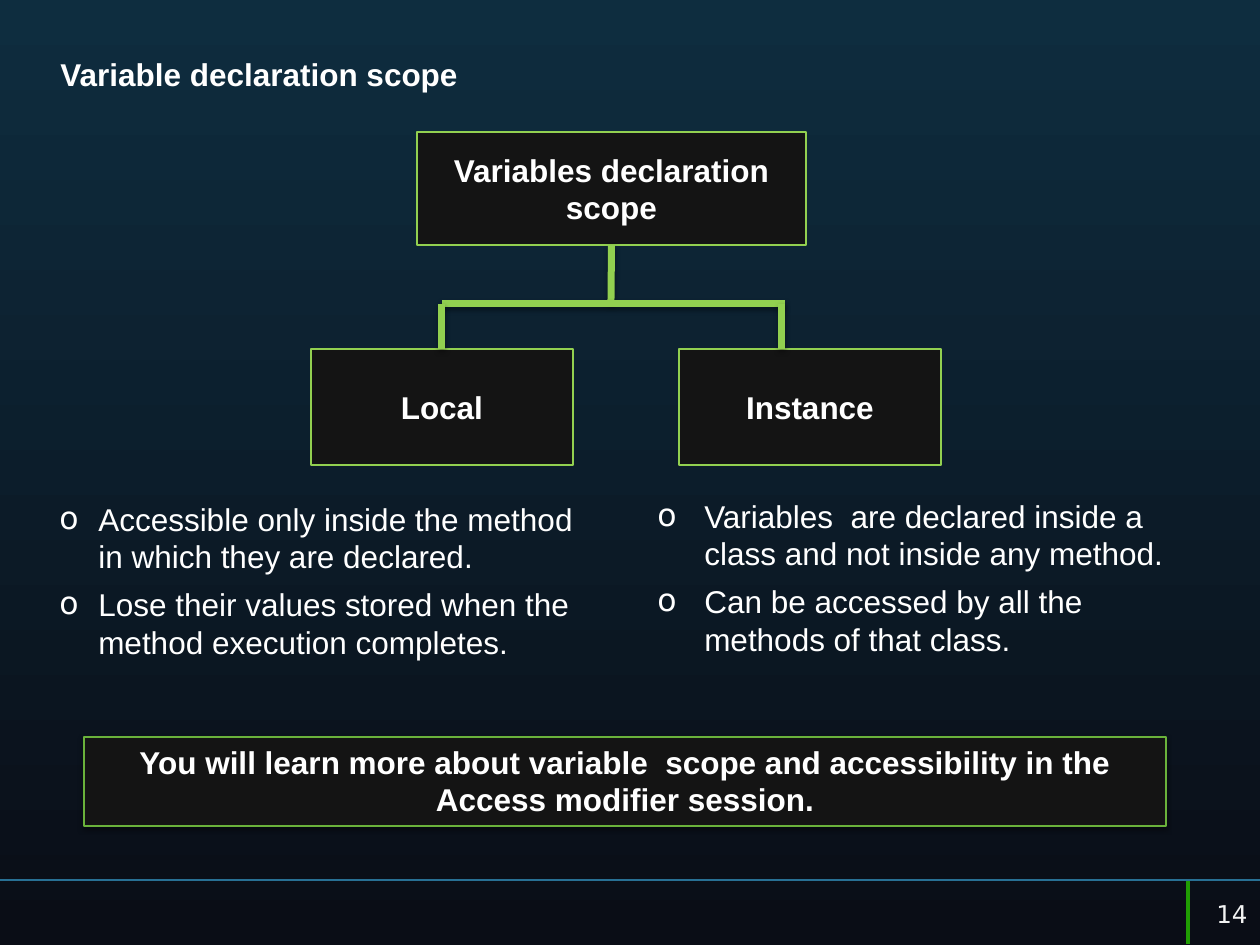
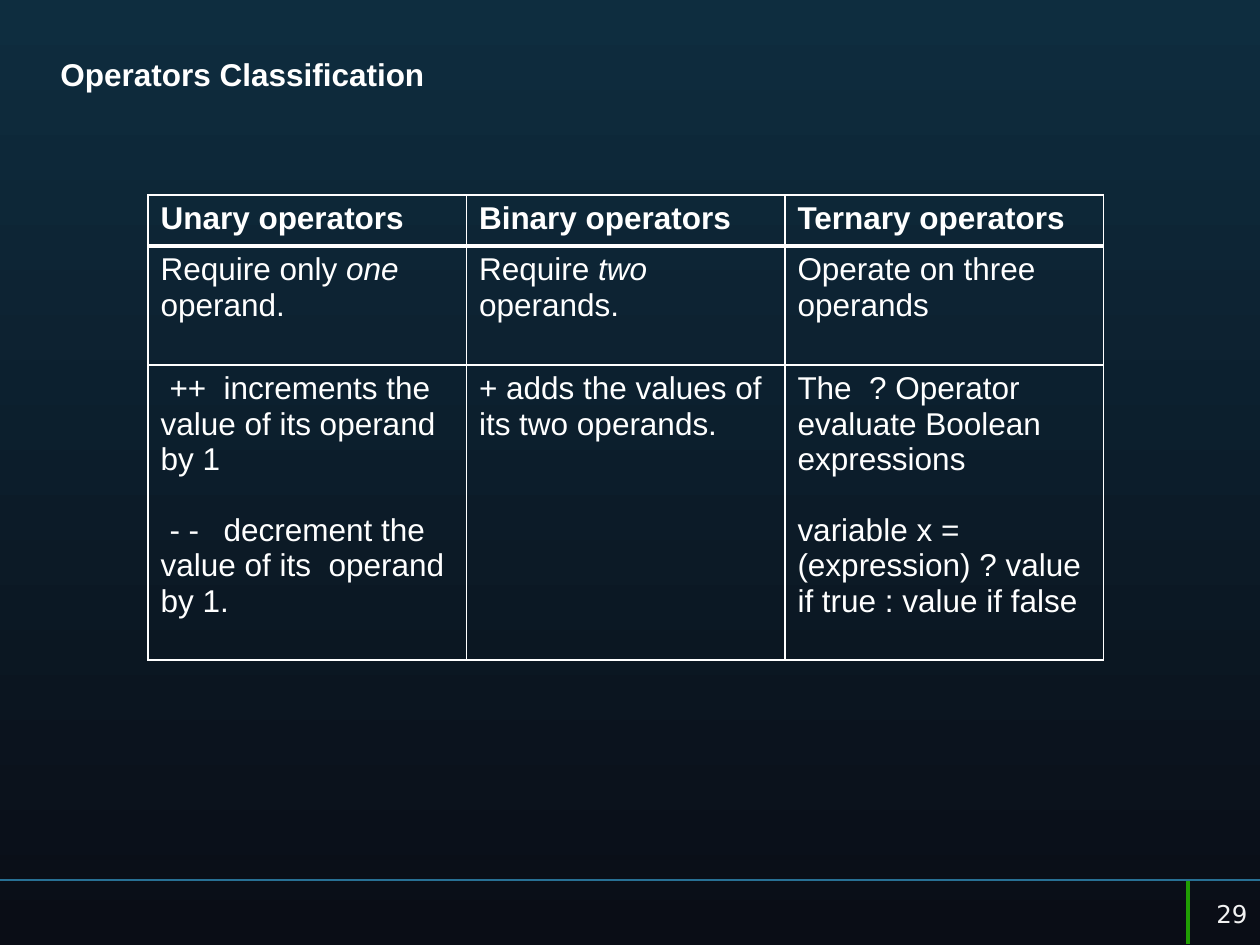
from dataclasses import dataclass

from lxml.etree import SubElement
from pptx import Presentation
from pptx.dml.color import RGBColor as Rgb
from pptx.enum.shapes import MSO_CONNECTOR as Connector, MSO_SHAPE as Shape
from pptx.enum.text import MSO_ANCHOR as Anchor, PP_ALIGN as Align
from pptx.oxml.ns import qn
from pptx.util import Emu, Pt

PX = 914400 / 126
BOTTOM, TOP = 2, 0


@dataclass(frozen=True)
class Theme:
    sky: str = "0E2D3F"
    night: str = "0A0D16"
    white: str = "FFFFFF"
    number: str = "F2F2F2"
    box: str = "141414"
    lime: str = "92D050"
    leaf: str = "6AB23B"
    rule: str = "287094"
    tick: str = "209D03"
    font: str = "Arial"
    number_font: str = "DejaVu Sans"
    size: float = 18
    number_size: float = 14
    line_pitch: float = 21.4
    table_pitch: float = 20.2


THEME = Theme()


def px(length):
    return Emu(round(length * PX))


def color(value):
    return Rgb.from_string(value)


# Text
def style(paragraph, bold=False, pitch=THEME.line_pitch, align=Align.LEFT):
    paragraph.alignment = align
    paragraph.line_spacing = Pt(pitch)
    font = paragraph.font
    font.name, font.size, font.bold = THEME.font, Pt(THEME.size), bold
    font.color.rgb = color(THEME.white)


def paragraphs(frame, count):
    return [frame.paragraphs[0]] + [frame.add_paragraph() for _ in range(count - 1)]


def add_text_box(slide, x, y, width, height):
    shape = slide.shapes.add_textbox(px(x), px(y), px(width), px(height))
    shape.text_frame.word_wrap = True
    return shape.text_frame


def add_bullets(slide, x, y, indent, items):
    frame = add_text_box(slide, x, y, 567, 176)
    for index, (paragraph, item) in enumerate(zip(paragraphs(frame, len(items)), items)):
        paragraph.text = item
        properties = paragraph._p.get_or_add_pPr()
        properties.set("marL", str(px(indent)))
        properties.set("indent", str(-px(indent)))
        SubElement(properties, qn("a:buFont"), typeface=THEME.number_font)
        SubElement(properties, qn("a:buChar"), char="o")
        style(paragraph)
        if index:
            paragraph.space_before = Pt(6)


# Shapes and lines
def add_shadow(effects):
    shadow = SubElement(effects, qn("a:outerShdw"), blurRad=str(Pt(3.1)),
                        dist=str(Pt(1.6)), dir="5400000", rotWithShape="0")
    black = SubElement(shadow, qn("a:srgbClr"), val="000000")
    SubElement(black, qn("a:alpha"), val="38000")


def add_box(slide, x, y, width, height, text, line=THEME.lime,
            anchor=Anchor.MIDDLE, shadow=False):
    box = slide.shapes.add_shape(Shape.RECTANGLE, px(x), px(y), px(width), px(height))
    box.shadow.inherit = False
    if shadow:
        add_shadow(box._element.spPr.find(qn("a:effectLst")))
    box.fill.solid()
    box.fill.fore_color.rgb = color(THEME.box)
    box.line.color.rgb = color(line)
    box.line.width = Pt(0.75)
    frame = box.text_frame
    frame.word_wrap = True
    frame.vertical_anchor = anchor
    frame.text = text
    style(frame.paragraphs[0], bold=True, align=Align.CENTER)
    return box


def add_line(slide, x1, y1, x2, y2, line, width, shadow=False):
    connector = slide.shapes.add_connector(
        Connector.STRAIGHT, px(x1), px(y1), px(x2), px(y2))
    connector.line.color.rgb = color(line)
    connector.line.width = Pt(width)
    effects = SubElement(connector._element.spPr, qn("a:effectLst"))
    if shadow:
        add_shadow(effects)
    return connector


def add_branch(slide, x1, y1, x2, y2):
    return add_line(slide, x1, y1, x2, y2, THEME.lime, 4, shadow=True)


# Table
def set_borders(cell, widths):
    properties = cell._tc.get_or_add_tcPr()
    for position, (side, width) in enumerate(widths.items()):
        border = properties.makeelement(qn(f"a:ln{side}"), {"w": str(Pt(width))})
        properties.insert(position, border)
        fill = SubElement(border, qn("a:solidFill"))
        SubElement(fill, qn("a:srgbClr"), val=THEME.white)


def set_tab(paragraph, indent, tab):
    properties = paragraph._p.get_or_add_pPr()
    properties.set("marL", "0")
    properties.set("indent", str(px(indent)))
    tabs = SubElement(properties, qn("a:tabLst"))
    SubElement(tabs, qn("a:tab"), pos=str(px(tab)), algn="l")


def fill_cell(cell, content, header):
    """Each paragraph is a string, (operator, text, tab) or a list of runs."""
    cell.fill.background()
    frame = cell.text_frame
    for index, (paragraph, item) in enumerate(zip(paragraphs(frame, len(content)), content)):
        if isinstance(item, tuple):
            operator, text, tab = item
            set_tab(paragraph, 9, tab)
            item = f"{operator}\t{text}"
        runs = item if isinstance(item, list) else [(item, False)]
        for text, italic in runs:
            run = paragraph.add_run()
            run.text = text
            if italic:
                run.font.italic = True
        style(paragraph, bold=header, pitch=THEME.table_pitch)
        if index:
            paragraph.space_before = Pt(THEME.table_pitch)


def add_grid(slide, x, y, column_width, row_heights, rows):
    columns = len(rows[0])
    table = slide.shapes.add_table(len(rows), columns, px(x), px(y),
                                   px(columns * column_width), px(sum(row_heights))).table
    table.horz_banding = False
    for column in table.columns:
        column.width = px(column_width)
    for row_index, (row, height) in enumerate(zip(rows, row_heights)):
        table.rows[row_index].height = px(height)
        for column_index, content in enumerate(row):
            cell = table.cell(row_index, column_index)
            fill_cell(cell, content, header=row_index == 0)
            set_borders(cell, {"L": 1, "R": 1, "T": 3 if row_index == 1 else 1,
                               "B": 3 if row_index == 0 else 1})


# Shared slide frame
def add_slide(presentation, title, number):
    slide = presentation.slides.add_slide(presentation.slide_layouts[6])
    fill = slide.background.fill
    fill.gradient()
    fill.gradient_angle = 270
    for stop, value, position in zip(fill.gradient_stops, (THEME.sky, THEME.night), (0, 1)):
        stop.color.rgb = color(value)
        stop.position = position
    add_line(slide, 1260, 880, 0, 880, THEME.rule, 0.75)
    add_line(slide, 1188, 881, 1188, 944, THEME.tick, 2)

    heading = add_text_box(slide, 48, 49, 1157, 83)
    heading.text = title
    style(heading.paragraphs[0], bold=True)

    footer = add_text_box(slide, 1187, 882, 73, 63)
    footer.vertical_anchor = Anchor.MIDDLE
    footer.text = str(number)
    paragraph = footer.paragraphs[0]
    paragraph.alignment = Align.RIGHT
    paragraph.font.name, paragraph.font.size = THEME.number_font, Pt(THEME.number_size)
    paragraph.font.color.rgb = color(THEME.number)
    return slide


def build_scope(presentation):
    slide = add_slide(presentation, "Variable declaration scope", 14)

    # Tree
    local = add_box(slide, 311, 349, 262, 116, "Local")
    root = add_box(slide, 417, 132, 389, 113, "Variables declaration scope")
    add_box(slide, 679, 349, 262, 116, "Instance")
    trunk = add_branch(slide, 611, 245, 611, 304)
    trunk.begin_connect(root, BOTTOM)
    add_branch(slide, 442, 304, 785, 304)
    local_drop = add_branch(slide, 442, 304, 442, 349)
    local_drop.end_connect(local, TOP)
    add_branch(slide, 782, 304, 782, 349)

    # Explanations
    add_bullets(slide, 47, 494, 39, [
        "Accessible only inside the method in which they are declared.",
        "Lose their values stored when the method execution completes.",
    ])
    add_bullets(slide, 645, 491, 47, [
        "Variables  are declared inside a class and not inside any method.",
        "Can be accessed by all the methods of that class.",
    ])
    add_box(slide, 84, 737, 1082, 89,
            "You will learn more about variable  scope and accessibility in the "
            "Access modifier session.", THEME.leaf, Anchor.TOP, shadow=True)


def build_operators(presentation):
    slide = add_slide(presentation, "Operators Classification", 29)
    add_grid(slide, 148, 195, 318.5, (51, 119, 295), [
        [["Unary operators"], ["Binary operators"], ["Ternary operators"]],
        [
            [[("Require only ", False), ("one", True), (" operand.", False)]],
            [[("Require ", False), ("two", True), (" operands.", False)]],
            ["Operate on three operands"],
        ],
        [
            [("++", "increments the value of its operand by 1", 71),
             ("- -", "decrement the value of its  operand by 1.", 64)],
            ["+ adds the values of its two operands."],
            ["The  ? Operator evaluate Boolean expressions",
             "variable x = (expression) ? value if true : value if false"],
        ],
    ])


def main():
    presentation = Presentation()
    presentation.slide_width, presentation.slide_height = px(1260), px(945)
    build_scope(presentation)
    build_operators(presentation)
    presentation.save("out.pptx")


if __name__ == "__main__":
    main()
